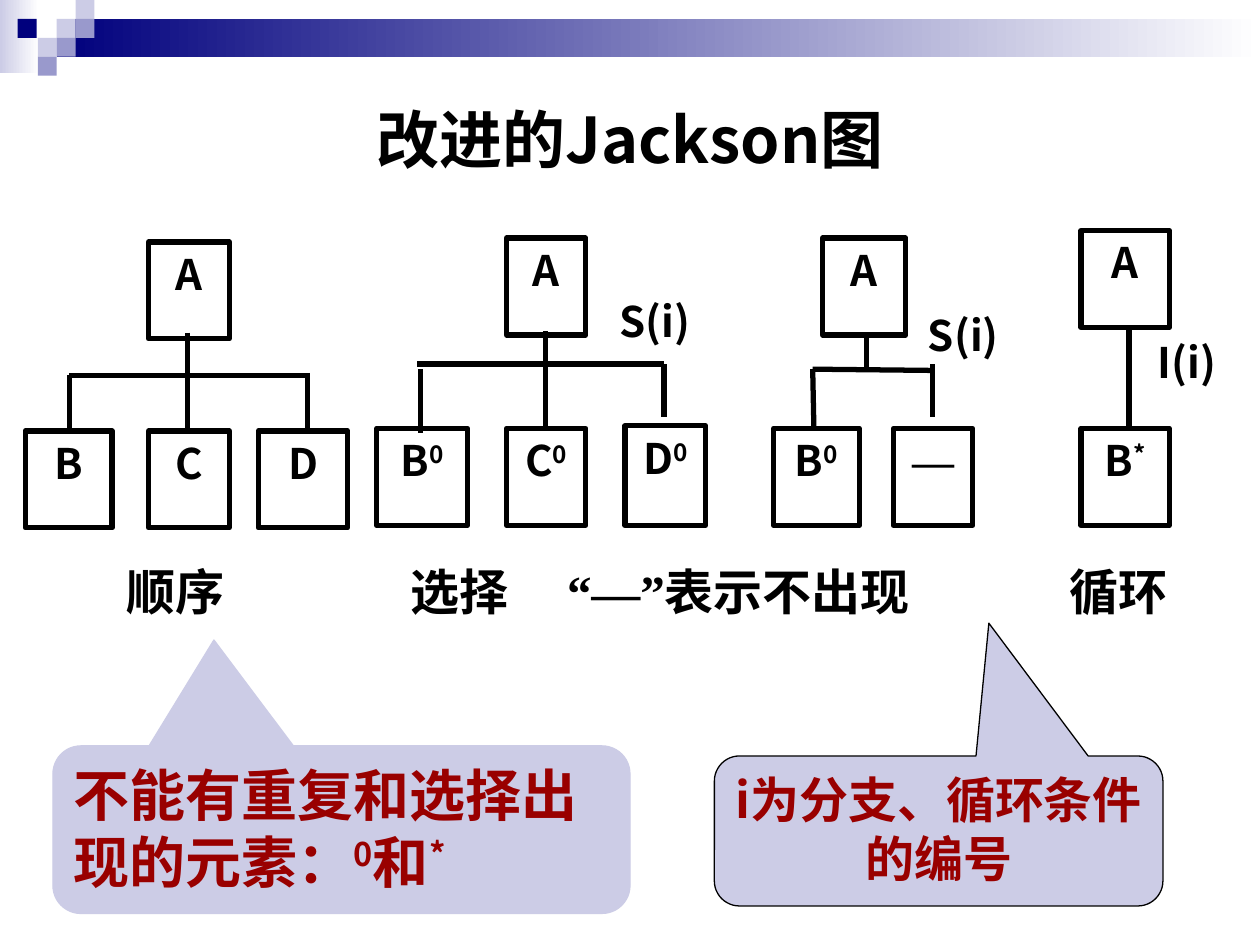
from dataclasses import dataclass

from lxml.etree import SubElement
from pptx import Presentation
from pptx.dml.color import RGBColor
from pptx.enum.shapes import MSO_CONNECTOR, MSO_SHAPE
from pptx.enum.text import MSO_ANCHOR, PP_ALIGN
from pptx.oxml.ns import qn
from pptx.util import Inches, Pt


@dataclass(frozen=True)
class Theme:
    navy: str = "00007D"
    violet: str = "9999CC"
    lavender: str = "CCCCE6"
    white: str = "FFFFFF"
    black: str = "000000"
    red: str = "990000"
    font: str = "Noto Sans CJK SC"
    serif: str = "Times New Roman"
    title: int = 36
    large: int = 32
    caption: int = 28
    node: int = 24
    stroke: float = 3
    outline: float = 0.75


THEME = Theme()
NODE_HEIGHT = 0.77
CHILD_TOP = 3.4


def color(value):
    return RGBColor.from_string(value)


def inches(*values):
    return [Inches(value) for value in values]


def write(shape, runs, size=THEME.node, ink=THEME.black, font=THEME.font,
          align=PP_ALIGN.CENTER, anchor=MSO_ANCHOR.TOP):
    frame = shape.text_frame
    frame.word_wrap = True
    frame.vertical_anchor = anchor
    paragraph = frame.paragraphs[0]
    paragraph.alignment = align
    for item in [runs] if isinstance(runs, str) else runs:
        text, style = (item, {}) if isinstance(item, str) else item
        run = paragraph.add_run()
        run.text = text
        run.font.size = Pt(size)
        run.font.bold = True
        run.font.color.rgb = color(ink)
        run.font.name = style.get("font", font)
        properties = run.font._element
        SubElement(properties, qn("a:ea")).set("typeface", run.font.name)
        if style.get("raised"):
            properties.set("baseline", "30000")
    return paragraph


def raised(text):
    return text, {"raised": True}


def add_block(slide, box, fill=None, line=None, width=THEME.stroke,
              kind=MSO_SHAPE.RECTANGLE):
    shape = slide.shapes.add_shape(kind, *inches(*box))
    shape.shadow.inherit = False
    if fill is None:
        shape.fill.background()
    elif isinstance(fill, tuple):
        shape.fill.gradient()
        shape.fill.gradient_angle = 0
        for stop, value, position in zip(shape.fill.gradient_stops, fill, (0, 1)):
            stop.color.rgb = color(value)
            stop.position = position
    else:
        shape.fill.solid()
        shape.fill.fore_color.rgb = color(fill)
    if line is None:
        shape.line.fill.background()
    else:
        shape.line.color.rgb = color(line)
        shape.line.width = Pt(width)
    return shape


def add_node(slide, runs, left, top, width, height=NODE_HEIGHT, **style):
    shape = add_block(slide, (left, top, width, height), line=THEME.black)
    write(shape, runs, **style)


def add_label(slide, runs, box, **style):
    shape = slide.shapes.add_textbox(*inches(*box))
    return shape, write(shape, runs, **style)


def add_line(slide, *ends):
    line = slide.shapes.add_connector(MSO_CONNECTOR.STRAIGHT, *inches(*ends))
    line.line.color.rgb = color(THEME.black)
    line.line.width = Pt(THEME.stroke)
    SubElement(line._element.spPr, qn("a:effectLst"))


def add_callout(slide, runs, box, pointer, line, **style):
    shape = add_block(slide, box, THEME.lavender, line, THEME.outline,
                      MSO_SHAPE.ROUNDED_RECTANGULAR_CALLOUT)
    for index, value in enumerate((*pointer, 0.167)):
        shape.adjustments[index] = value
    write(shape, runs, ink=THEME.red, **style)


def add_banner(slide):
    add_block(slide, (0, 0, 0.31, 0.58), (THEME.lavender, THEME.white))
    add_block(slide, (0.45, 0.15, 9.55, 0.3), (THEME.navy, THEME.white))
    tiles = {
        THEME.lavender: [(0.45, 0.15), (0.6, 0), (0.3, 0.3)],
        THEME.violet: [(0.6, 0.15), (0.45, 0.3), (0.3, 0.45)],
        THEME.navy: [(0.14, 0.15)],
    }
    for fill, corners in tiles.items():
        for left, top in corners:
            add_block(slide, (left, top, 0.15, 0.15), fill)


def add_title(slide, text):
    title = slide.shapes.title
    title.left, title.top, title.width, title.height = inches(0.5, 0.5, 9, 1.2)
    write(title, text, size=THEME.title, anchor=MSO_ANCHOR.MIDDLE)


def add_sequence(slide):
    add_node(slide, "A", 1.18, 1.92, 0.64)
    for text, left, width in (("B", 0.2, 0.69), ("C", 1.18, 0.64), ("D", 2.05, 0.71)):
        add_node(slide, text, left, 3.42, width)
    add_line(slide, 1.49, 2.64, 1.49, 3.41)
    add_line(slide, 0.55, 2.98, 2.44, 2.98)
    add_line(slide, 0.55, 2.98, 0.55, 3.42)
    add_line(slide, 2.44, 2.96, 2.44, 3.42)
    add_label(slide, "顺序", (0.33, 4.41, 2.13, 0.75), size=THEME.caption)


def add_selection(slide):
    add_node(slide, "A", 4.02, 1.89, 0.63)
    add_node(slide, ["B", raised("0")], 2.99, CHILD_TOP, 0.72)
    add_node(slide, ["C", raised("0")], 4.02, CHILD_TOP, 0.63)
    add_node(slide, ["D", raised("0")], 4.96, 3.38, 0.64, 0.79)
    add_line(slide, 4.33, 2.63, 4.33, 3.42)
    add_line(slide, 3.31, 2.89, 5.27, 2.89)
    add_line(slide, 3.34, 2.93, 3.34, 3.44)
    add_line(slide, 5.27, 2.89, 5.27, 3.31)
    add_label(slide, "S(i)", (4.72, 2.3, 0.95, 0.77))


def add_optional_selection(slide):
    add_node(slide, "A", 6.53, 1.89, 0.66)
    add_node(slide, ["B", raised("0")], 6.14, CHILD_TOP, 0.68)
    add_node(slide, "—", 7.09, CHILD_TOP, 0.63, font=THEME.serif)
    add_line(slide, 6.88, 2.68, 6.88, 2.93)
    add_line(slide, 6.45, 2.93, 7.39, 2.94)
    add_line(slide, 6.45, 2.93, 6.46, 3.42)
    add_line(slide, 7.4, 2.89, 7.4, 3.31)
    add_label(slide, "S(i)", (7.2, 2.41, 0.89, 0.77))


def add_selection_caption(slide):
    runs = ["选择\t", ("“—”", {"font": THEME.serif}), "表示不出现"]
    label, paragraph = add_label(slide, runs, (2.92, 4.41, 4.83, 0.75),
                                 size=THEME.caption, align=PP_ALIGN.LEFT)
    label.text_frame.margin_left = Inches(0.34)
    label.text_frame.margin_right = 0
    tabs = SubElement(paragraph._p.get_or_add_pPr(), qn("a:tabLst"))
    tab = SubElement(tabs, qn("a:tab"))
    tab.set("pos", str(Inches(1.24)))
    tab.set("algn", "l")


def add_iteration(slide):
    add_node(slide, "A", 8.58, 1.83, 0.7)
    add_node(slide, ["B", raised("*")], 8.58, CHILD_TOP, 0.7)
    add_line(slide, 8.96, 2.62, 8.96, 3.38)
    add_label(slide, "I(i)", (9, 2.62, 0.84, 0.77))
    add_label(slide, "循环", (8.25, 4.41, 1.26, 0.84), size=THEME.caption)


def main():
    presentation = Presentation()
    presentation.slide_width, presentation.slide_height = inches(10, 7.5)
    slide = presentation.slides.add_slide(presentation.slide_layouts[5])
    add_banner(slide)
    add_title(slide, "改进的Jackson图")
    add_callout(slide, ["不能有重复和选择出现的元素：", raised("0"), "和", raised("*")],
                (0.42, 5.92, 4.58, 1.33), (-0.221, -1.132), THEME.lavender,
                size=THEME.large, align=PP_ALIGN.LEFT)
    add_callout(slide, "i为分支、循环条件的编号", (5.67, 6, 3.56, 1.19),
                (0.112, -1.386), THEME.black, size=THEME.caption)
    add_sequence(slide)
    add_selection(slide)
    add_optional_selection(slide)
    add_selection_caption(slide)
    add_iteration(slide)
    presentation.save("out.pptx")


if __name__ == "__main__":
    main()
